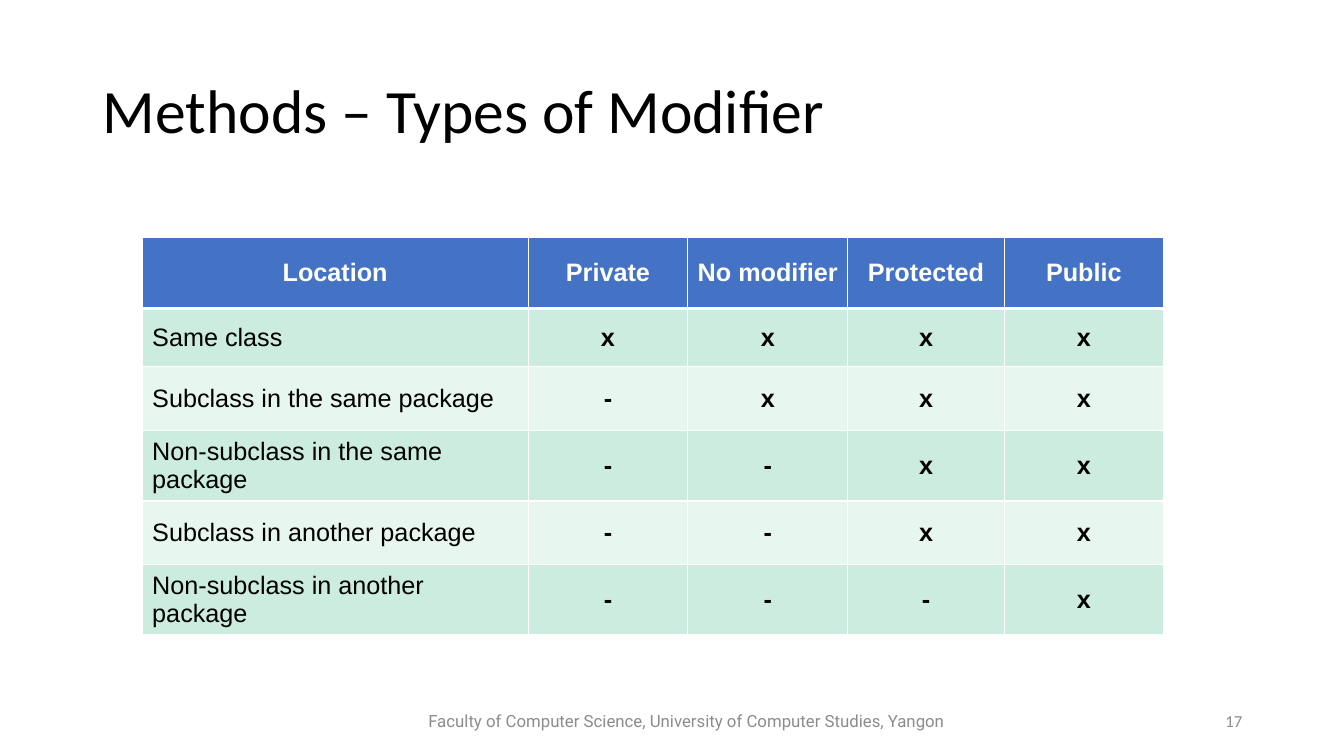
from lxml import etree
from pptx import Presentation
from pptx.dml.color import RGBColor
from pptx.enum.text import MSO_ANCHOR, PP_ALIGN
from pptx.oxml.ns import qn
from pptx.util import Inches, Pt

LEFT, CENTER, RIGHT = PP_ALIGN.LEFT, PP_ALIGN.CENTER, PP_ALIGN.RIGHT
MIDDLE = MSO_ANCHOR.MIDDLE

HEADING = "Methods – Types of Modifier"
FOOTER = "Faculty of Computer Science, University of Computer Studies, Yangon"
PAGE = "17"
ACCESS = [
    ("Location", "Private", "No modifier", "Protected", "Public"),
    ("Same class", "x", "x", "x", "x"),
    ("Subclass in the same package", "-", "x", "x", "x"),
    ("Non-subclass in the same package", "-", "-", "x", "x"),
    ("Subclass in another package", "-", "-", "x", "x"),
    ("Non-subclass in another package", "-", "-", "-", "x"),
]
COLUMN_WIDTHS = (3.83, 1.58, 1.59, 1.55, 1.58)
ROW_HEIGHTS = (0.7, 0.58, 0.63, 0.7, 0.63, 0.7)
BLACK, WHITE, GRAY = "000000", "FFFFFF", "8C8C8C"
HEADER_FILL = "4472C4"
BAND_FILLS = ("E7F6EF", "CBECDE")


def rgb(value):
    return RGBColor.from_string(value)


def write(frame, text, size, font, color, align=LEFT, bold=False):
    frame.word_wrap = True
    frame.vertical_anchor = MIDDLE
    paragraph = frame.paragraphs[0]
    paragraph.alignment = align
    run = paragraph.add_run()
    run.text = text
    run.font.size = Pt(size)
    run.font.name = font
    run.font.bold = bold
    run.font.color.rgb = rgb(color)
    return paragraph


def set_border(cell, side, width):
    line = etree.SubElement(cell._tc.get_or_add_tcPr(), qn(f"a:ln{side}"), w=str(Pt(width)))
    fill = etree.SubElement(line, qn("a:solidFill"))
    etree.SubElement(fill, qn("a:srgbClr"), val=WHITE)


def add_heading(slide):
    heading = slide.shapes.title
    heading.left, heading.top = Inches(0.92), Inches(0.4)
    heading.width, heading.height = Inches(11.5), Inches(1.45)
    write(heading.text_frame, HEADING, 44, "Calibri", BLACK).line_spacing = 0.9


def add_access_table(slide):
    access = slide.shapes.add_table(
        len(ACCESS), len(COLUMN_WIDTHS), Inches(1.41), Inches(2.36),
        Inches(sum(COLUMN_WIDTHS)), Inches(sum(ROW_HEIGHTS))).table
    for column, width in zip(access.columns, COLUMN_WIDTHS):
        column.width = Inches(width)
    for r, (row, height) in enumerate(zip(ACCESS, ROW_HEIGHTS)):
        access.rows[r].height = Inches(height)
        for c, text in enumerate(row):
            cell = access.cell(r, c)
            header = r == 0
            emphasis = header or c > 0
            write(cell.text_frame, text, 18, "Arial", WHITE if header else BLACK,
                  CENTER if emphasis else LEFT, emphasis)
            cell.vertical_anchor = MIDDLE
            for side, width in (("L", 1), ("R", 1), ("T", 3 if r == 1 else 1), ("B", 3 if header else 1)):
                set_border(cell, side, width)
            cell.fill.solid()
            cell.fill.fore_color.rgb = rgb(HEADER_FILL if header else BAND_FILLS[r % 2])


def add_footer(slide, text, left, width, font, align):
    footer = slide.shapes.add_textbox(Inches(left), Inches(6.95), Inches(width), Inches(0.4))
    write(footer.text_frame, text, 12, font, GRAY, align)


def main():
    deck = Presentation()
    deck.slide_width, deck.slide_height = Inches(13.33), Inches(7.5)
    slide = deck.slides.add_slide(deck.slide_layouts[5])
    add_heading(slide)
    add_footer(slide, FOOTER, 3.96, 5.7, "Roboto", CENTER)
    add_footer(slide, PAGE, 9.42, 3, "Calibri", RIGHT)
    add_access_table(slide)
    deck.save("out.pptx")


if __name__ == "__main__":
    main()
